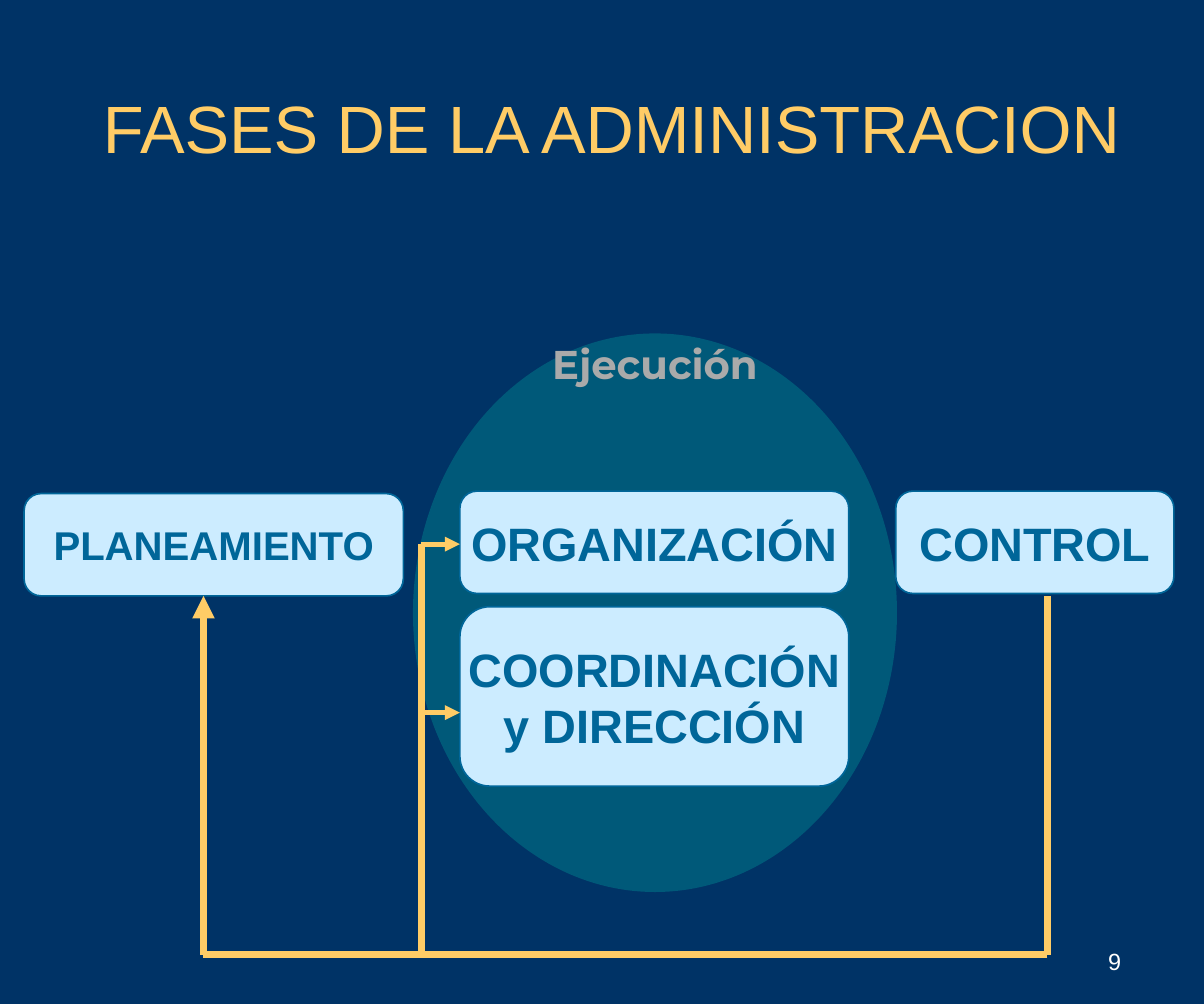
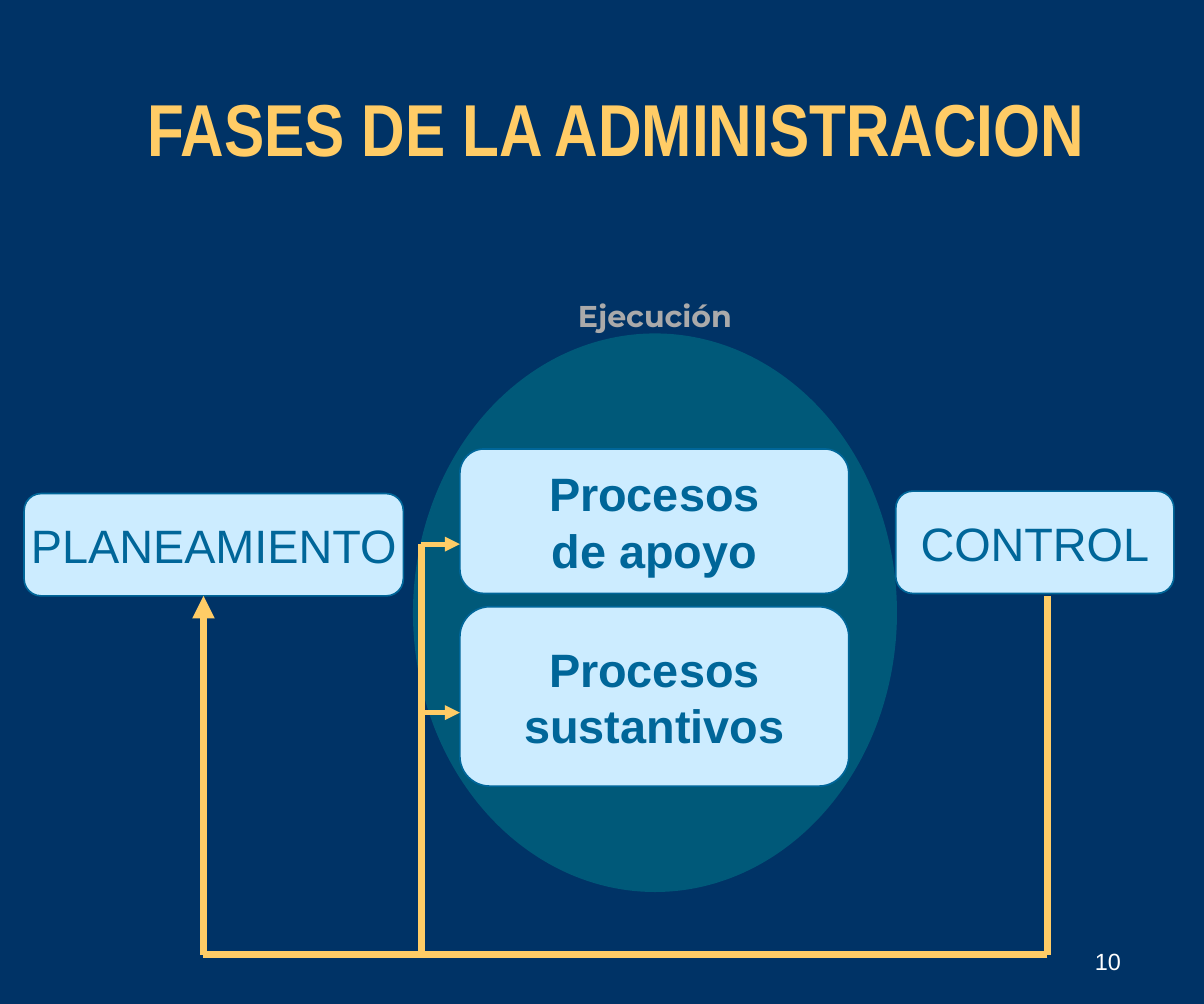
import pptx
import pptx.util
import pptx.dml.color
import pptx.enum.shapes
import pptx.enum.text
import pptx.oxml
import pptx.oxml.ns
import lxml.etree

Inches = pptx.util.Inches
Pt = pptx.util.Pt
RGBColor = pptx.dml.color.RGBColor
SHAPE = pptx.enum.shapes.MSO_SHAPE
ALIGN = pptx.enum.text.PP_ALIGN
ANCHOR = pptx.enum.text.MSO_ANCHOR
qn = pptx.oxml.ns.qn

NAVY = RGBColor(0x00, 0x33, 0x66)
GOLD = RGBColor(0xFF, 0xCC, 0x66)
TEAL = RGBColor(0x00, 0x99, 0x99)
PALE_BLUE = RGBColor(0xCC, 0xEC, 0xFF)
BLUE = RGBColor(0x00, 0x66, 0x99)
GREY = RGBColor(0xAA, 0xAA, 0xAA)
WHITE = RGBColor(0xFF, 0xFF, 0xFF)

TITLE = "FASES DE LA ADMINISTRACION"
PLAN_X, CONTROL_X, BRANCH_X, PHASE_X = 1.69, 8.7, 3.5, 3.82
BOX_BOTTOM, LOOP_Y = 4.95, 7.93
BRANCH_YS = [4.52, 5.92]

FLOW = [
    (CONTROL_X, BOX_BOTTOM, CONTROL_X, LOOP_Y, 4.5, False),
    (CONTROL_X, LOOP_Y, PLAN_X, LOOP_Y, 4.5, False),
    (PLAN_X, LOOP_Y, PLAN_X, BOX_BOTTOM, 4.5, True),
    (BRANCH_X, LOOP_Y, BRANCH_X, BRANCH_YS[0], 4.5, False),
] + [(BRANCH_X, y, PHASE_X, y, 3, True) for y in BRANCH_YS]

SLIDES = [
    {
        "number": "9",
        "title": (0.59, 8.98, 40, "Arial", False),
        "execution": (2.77, 24),
        "phases": [
            ("PLANEAMIENTO", 0.2, 4.1, 3.15, 0.85, 24, True),
            ("ORGANIZACIÓN", PHASE_X, 4.08, 3.23, 0.85, 28, True),
            ("CONTROL", 7.44, 4.08, 2.31, 0.85, 28, True),
            ("COORDINACIÓN\vy DIRECCIÓN", PHASE_X, 5.04, 3.23, 1.49, 28, True),
        ],
    },
    {
        "number": "10",
        "title": (0.83, 8.58, 44, "Arial Narrow", True),
        "execution": (2.42, 18),
        "phases": [
            ("PLANEAMIENTO", 0.2, 4.1, 3.15, 0.85, 28, False),
            ("Procesos\vde apoyo", PHASE_X, 3.73, 3.23, 1.2, 28, True),
            ("CONTROL", 7.44, 4.08, 2.31, 0.85, 28, False),
            ("Procesos\vsustantivos", PHASE_X, 5.04, 3.23, 1.49, 28, True),
        ],
    },
]


def write(frame, text, size, color, font="Arial", bold=False,
          align=ALIGN.CENTER, anchor=ANCHOR.MIDDLE, wrap=True):
    frame.text = text
    frame.word_wrap = wrap
    frame.auto_size = pptx.enum.text.MSO_AUTO_SIZE.NONE
    frame.vertical_anchor = anchor
    paragraph = frame.paragraphs[0]
    paragraph.alignment = align
    for run in paragraph.runs:
        run.font.name = font
        run.font.size = Pt(size)
        run.font.bold = bold
        run.font.color.rgb = color


def place(shapes, kind, left, top, width, height, fill):
    shape = shapes.add_shape(kind, Inches(left), Inches(top), Inches(width), Inches(height))
    shape.shadow.inherit = False
    shape.fill.solid()
    shape.fill.fore_color.rgb = fill
    return shape


prs = pptx.Presentation()
prs.slide_width = Inches(10)
prs.slide_height = Inches(8.34)
master_fill = prs.slide_master.background.fill
master_fill.solid()
master_fill.fore_color.rgb = NAVY

for content in SLIDES:
    slide = prs.slides.add_slide(prs.slide_layouts[5])
    shapes = slide.shapes

    number = shapes.add_textbox(Inches(7.33), Inches(7.59), Inches(2.08), Inches(0.56))
    write(number.text_frame, content["number"], 14, WHITE,
          align=ALIGN.RIGHT, anchor=ANCHOR.BOTTOM)

    execution_circle = place(shapes, SHAPE.OVAL, 3.43, 2.77, 4.02, 4.64, TEAL)
    execution_circle.line.fill.background()
    teal_fill = execution_circle.fill._xPr.find(qn("a:solidFill"))[0]
    lxml.etree.SubElement(teal_fill, qn("a:alpha")).set("val", "38000")

    left, width, size, font, bold = content["title"]
    title = shapes.title
    title.left, title.top = Inches(left), Inches(0.4)
    title.width, title.height = Inches(width), Inches(1.31)
    write(title.text_frame, TITLE, size, GOLD, font, bold)

    for text, left, top, width, height, size, bold in content["phases"]:
        phase = place(shapes, SHAPE.ROUNDED_RECTANGLE, left, top, width, height, PALE_BLUE)
        phase.line.color.rgb = BLUE
        phase.line.width = Pt(1)
        frame = phase.text_frame
        frame.margin_left = frame.margin_right = frame.margin_top = frame.margin_bottom = 0
        write(frame, text, size, BLUE, bold=bold, wrap=False)

    top, size = content["execution"]
    execution = shapes.add_textbox(Inches(4.06), Inches(top), Inches(2.76), Inches(0.96))
    write(execution.text_frame, "Ejecución", size, GREY, "Montserrat", True, anchor=ANCHOR.TOP)

    for x1, y1, x2, y2, weight, has_arrow in FLOW:
        flow = shapes.add_connector(pptx.enum.shapes.MSO_CONNECTOR.STRAIGHT,
                                    Inches(x1), Inches(y1), Inches(x2), Inches(y2))
        flow.line.color.rgb = GOLD
        flow.line.width = Pt(weight)
        if has_arrow:
            arrowhead = lxml.etree.SubElement(flow.line._get_or_add_ln(), qn("a:tailEnd"))
            arrowhead.set("type", "triangle")
        lxml.etree.SubElement(flow._element.spPr, qn("a:effectLst"))

prs.save("out.pptx")
